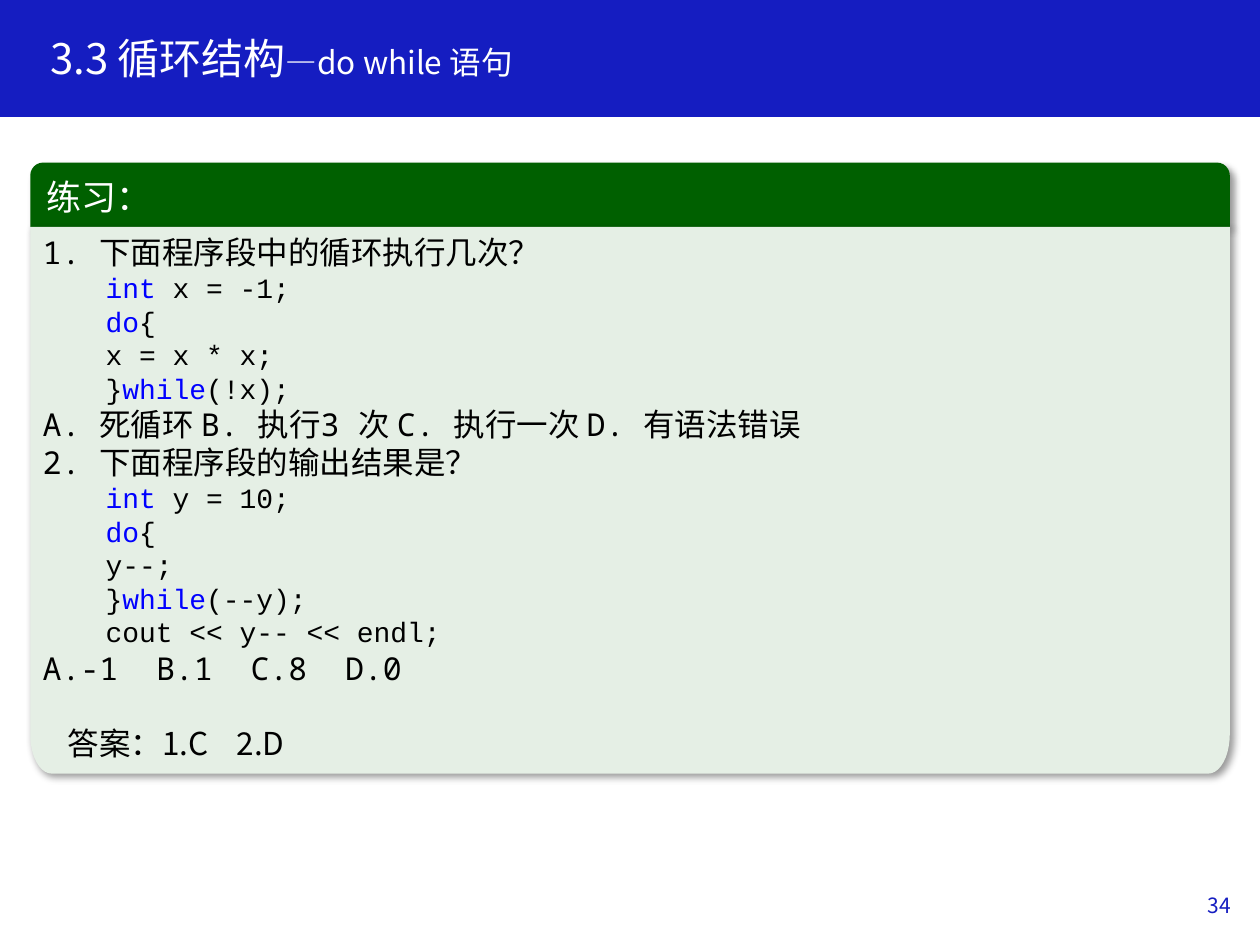
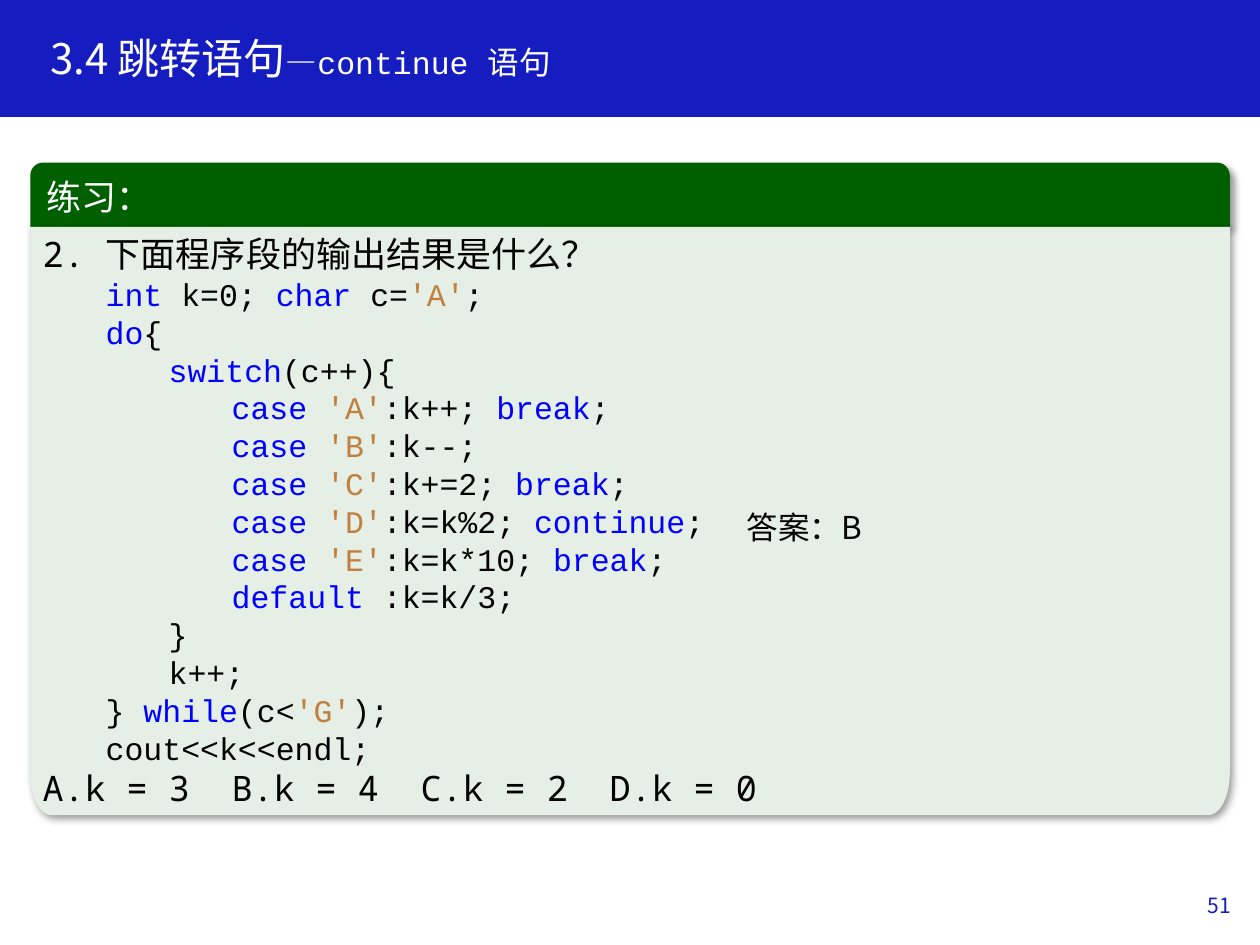
import math
from dataclasses import dataclass

from lxml import etree
from pptx import Presentation
from pptx import util as u
from pptx.dml.color import RGBColor
from pptx.enum import shapes, text
from pptx.oxml import parse_xml
from pptx.oxml.ns import nsdecls, qn

COLORS = {
    "band": "151DC1", "header": "006000", "panel": "E5EFE5", "white": "FFFFFF",
    "black": "000000", "keyword": "0000FF", "literal": "C08040",
}
CJK, MONO, CODE = "Noto Sans CJK SC", "Noto Sans Mono", "Courier New"
KEYWORDS = {"int", "char", "do", "while", "switch", "case", "break", "continue", "default"}
LEFT, RIGHT = 0.24, 9.76
HEADER_TOP, PANEL_TOP = 1.29, 1.8
CORNER_WIDTH, CORNER_STEPS = 0.17, 10


@dataclass
class Span:
    text: str
    size: float
    font: str = CJK


@dataclass
class Line:
    """One panel line; '|' separates its spans. Level 0 is prose, deeper is code."""
    text: str
    level: int = 0
    tabs: tuple[float, ...] = ()


@dataclass
class Answer:
    text: str
    left: float
    top: float
    width: float
    tabs: tuple[float, ...] = ()


@dataclass
class Exercise:
    title: list[Span]
    number: int
    lines: list[Line]
    prose_size: float
    code_size: float
    bottom: float
    corner_height: float
    answer: Answer


def rgb(name: str) -> RGBColor:
    return RGBColor.from_string(COLORS[name])


def add_span(para, content: str, *, size: float, font: str = CJK, color: str = "black") -> None:
    span = para.add_run()
    span.text = content
    span.font.size = u.Pt(size)
    span.font.color.rgb = rgb(color)
    span.font.name = font
    etree.SubElement(span.font._element, qn("a:ea")).set("typeface", font)


def set_tabs(para, stops: tuple[float, ...]) -> None:
    if stops:
        tab_list = etree.SubElement(para._p.get_or_add_pPr(), qn("a:tabLst"))
        for stop in stops:
            etree.SubElement(tab_list, qn("a:tab"), pos=str(u.Inches(stop)), algn="l")


def add_box(page, left: float, top: float, width: float, height: float,
            anchor=text.MSO_ANCHOR.MIDDLE):
    """Add a wrapping text box and return its first paragraph."""
    box = page.shapes.add_textbox(u.Inches(left), u.Inches(top), u.Inches(width), u.Inches(height))
    box.text_frame.word_wrap = True
    box.text_frame.vertical_anchor = anchor
    return box.text_frame.paragraphs[0]


def paint(shape, color: str, shadow: bool = False) -> None:
    shape.fill.solid()
    shape.fill.fore_color.rgb = rgb(color)
    shape.line.fill.background()
    shape.shadow.inherit = False
    if shadow:
        effects = shape._element.spPr.find(qn("a:effectLst"))
        effects.append(parse_xml(
            f'<a:outerShdw {nsdecls("a")} blurRad="{u.Pt(4)}" dist="{u.Pt(3)}" dir="2700000" '
            f'algn="tl" rotWithShape="0"><a:srgbClr val="{COLORS["black"]}">'
            '<a:alpha val="40000"/></a:srgbClr></a:outerShdw>'))


def add_frame(page, title: list[Span], number: int) -> None:
    """Title band, title and page number."""
    band = page.shapes.add_shape(shapes.MSO_SHAPE.RECTANGLE, 0, 0, u.Inches(10), u.Inches(0.92))
    paint(band, "band")
    band.line.color.rgb = rgb("band")
    band.line.width = u.Pt(1)
    para = add_box(page, 0.3, 0.23, 5.74, 0.51)
    para.line_spacing = 0.9
    for span in title:
        add_span(para, span.text, size=span.size, font=span.font, color="white")
    para = add_box(page, 7.62, 6.98, 2.25, 0.4)
    para.alignment = text.PP_ALIGN.RIGHT
    add_span(para, str(number), size=12, color="band")


def panel_outline(bottom: float, corner_height: float) -> list[tuple[float, float]]:
    """Square top corners, elliptical bottom corners, clockwise from the top right."""
    points = [(RIGHT, PANEL_TOP)]
    for center, start in ((RIGHT - CORNER_WIDTH, 0), (LEFT + CORNER_WIDTH, 90)):
        for step in range(CORNER_STEPS + 1):
            angle = math.radians(start + 90 * step / CORNER_STEPS)
            points.append((center + CORNER_WIDTH * math.cos(angle),
                           bottom - corner_height + corner_height * math.sin(angle)))
    return points


def fill_line(para, line: Line, exercise: Exercise) -> None:
    para.alignment = text.PP_ALIGN.LEFT
    para.level = line.level
    set_tabs(para, line.tabs)
    for part in line.text.split("|"):
        if line.level:
            color = ("keyword" if part.strip() in KEYWORDS
                     else "literal" if part.startswith("'") else "black")
            add_span(para, part, size=exercise.code_size, font=CODE, color=color)
        else:
            font = MONO if part.isascii() else CJK
            add_span(para, part, size=exercise.prose_size, font=font)


def add_panel(page, exercise: Exercise) -> None:
    """Green heading above the rounded panel with the question."""
    group = page.shapes.add_group_shape()
    header = group.shapes.add_shape(
        shapes.MSO_SHAPE.ROUND_2_SAME_RECTANGLE, u.Inches(LEFT), u.Inches(HEADER_TOP),
        u.Inches(RIGHT - LEFT), u.Inches(PANEL_TOP - HEADER_TOP))
    header.adjustments[0], header.adjustments[1] = 0.2, 0
    paint(header, "header", shadow=True)
    header.text_frame.vertical_anchor = text.MSO_ANCHOR.MIDDLE
    para = header.text_frame.paragraphs[0]
    para.alignment = text.PP_ALIGN.LEFT
    add_span(para, "练习：", size=20, color="white")

    outline = group.shapes.build_freeform(u.Inches(LEFT), u.Inches(PANEL_TOP))
    outline.add_line_segments(
        [(u.Inches(x), u.Inches(y))
         for x, y in panel_outline(exercise.bottom, exercise.corner_height)])
    panel = outline.convert_to_shape()
    paint(panel, "panel", shadow=True)
    frame = panel.text_frame
    frame.word_wrap = True
    frame.vertical_anchor = text.MSO_ANCHOR.TOP
    for index, line in enumerate(exercise.lines):
        fill_line(frame.add_paragraph() if index else frame.paragraphs[0], line, exercise)


def add_exercise(deck, exercise: Exercise) -> None:
    page = deck.slides.add_slide(deck.slide_layouts[6])
    add_frame(page, exercise.title, exercise.number)
    add_panel(page, exercise)
    answer = exercise.answer
    para = add_box(page, answer.left, answer.top, answer.width, 0.4, text.MSO_ANCHOR.TOP)
    set_tabs(para, answer.tabs)
    add_span(para, answer.text, size=18)


EXERCISES = [
    Exercise(
        title=[Span("3.3 循环结构", 24), Span("—do while 语句", 18)],
        number=34,
        lines=[
            Line("1. |下面程序段中的循环执行几次？"),
            Line("int |x = -1;", 1),
            Line("do|{", 1),
            Line("x = x * x;", 1),
            Line("}|while|(!x);", 1),
            Line("A. |死循环 |B. |执行|3 |次 |C. |执行一次 |D. |有语法错误"),
            Line("2. |下面程序段的输出结果是？"),
            Line("int |y = 10;", 1),
            Line("do|{", 1),
            Line("y--;", 1),
            Line("}|while|(--y);", 1),
            Line("cout << y-- << endl;", 1),
            Line("A.-1\tB.1\tC.8\tD.0", tabs=(0.9, 1.65, 2.4)),
        ],
        prose_size=18, code_size=16, bottom=6.14, corner_height=0.31,
        answer=Answer("答案：1.C\t2.D", 0.44, 5.7, 1.96, tabs=(1.34,)),
    ),
    Exercise(
        title=[Span("3.4 跳转语句", 24), Span("—", 18), Span("continue ", 18, CODE),
               Span("语句", 18)],
        number=51,
        lines=[
            Line("2. |下面程序段的输出结果是什么？"),
            Line("int |k=0; |char |c=|'A'|;", 1),
            Line("do|{", 1),
            Line("switch|(c++){", 2),
            Line("case |'A'|:k++; |break|;", 3),
            Line("case |'B'|:k--;", 3),
            Line("case |'C'|:k+=2; |break|;", 3),
            Line("case |'D'|:k=k%2; |continue|;", 3),
            Line("case |'E'|:k=k*10; |break|;", 3),
            Line("default |:k=k/3;", 3),
            Line("}", 2),
            Line("k++;", 2),
            Line("} |while|(c<|'G'|);", 1),
            Line("cout<<k<<endl;", 1),
            Line("A.k = 3\tB.k = 4\tC.k = 2\tD.k = 0", tabs=(1.5, 3, 4.5)),
        ],
        prose_size=20, code_size=18, bottom=6.47, corner_height=0.33,
        answer=Answer("答案：B", 5.83, 3.98, 1.12),
    ),
]


def main() -> None:
    deck = Presentation()
    deck.slide_width, deck.slide_height = u.Inches(10), u.Inches(7.5)
    for exercise in EXERCISES:
        add_exercise(deck, exercise)
    deck.save("out.pptx")


main()
